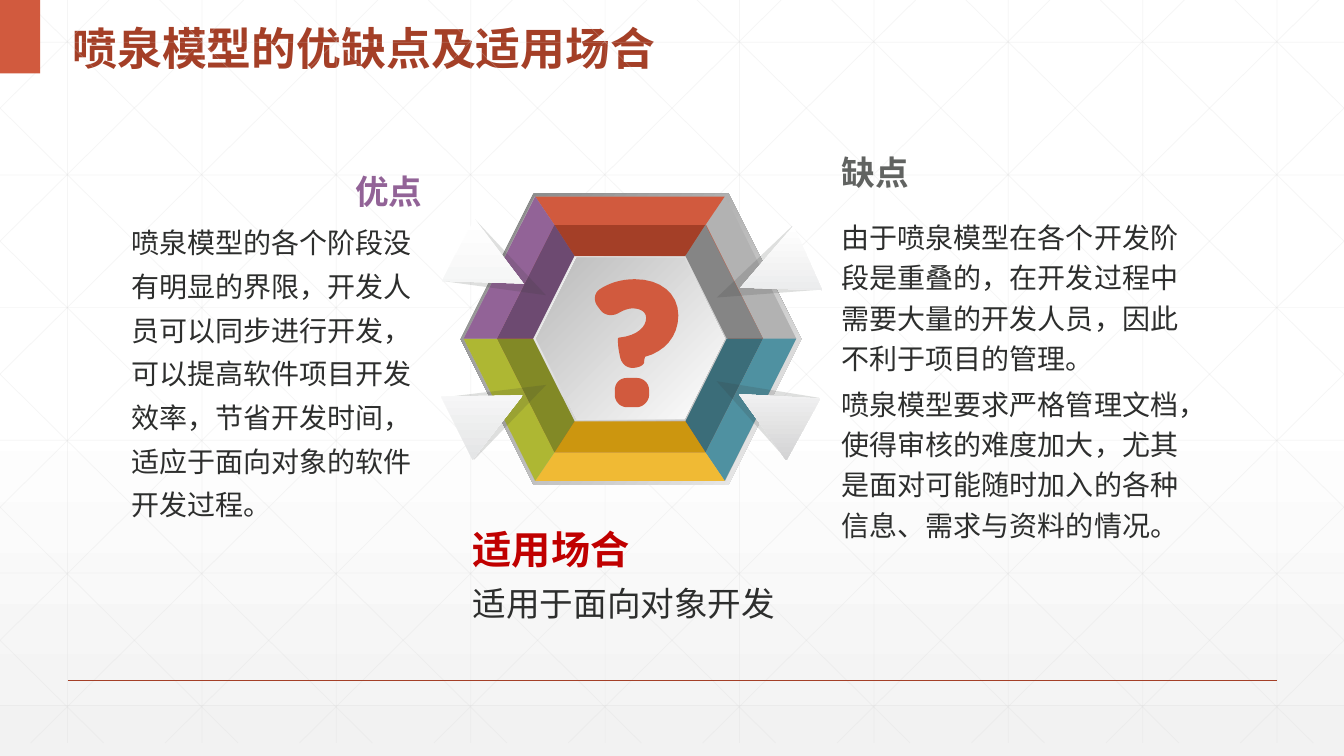
from lxml import etree
from pptx import Presentation
from pptx.dml.color import RGBColor
from pptx.enum.shapes import MSO_CONNECTOR, MSO_SHAPE as Kind
from pptx.enum.text import MSO_ANCHOR as Anchor, MSO_AUTO_SIZE as Fit, PP_ALIGN as Align
from pptx.oxml.ns import qn
from pptx.util import Inches, Pt

WIDE, HIGH, GRID = 40 / 3, 7.5, 7.37
FONT = "Noto Sans CJK SC"
COLORS = {
    "white": "FFFFFF", "paper": "F2F2F2", "grid": "D9D9D9", "red": "D15A3E",
    "brick": "A43F27", "crimson": "C00000", "ink": "2D2E2D", "gray": "616361",
    "silver": "B2B2B2", "steel": "858585", "plum": "926397", "grape": "6D4A71",
    "lime": "AEB733", "olive": "828926", "gold": "F0BA34", "amber": "CC960F",
    "teal": "4F91A1", "pine": "3B6D79", "shade": "373937", "rim": "808080",
    "edge": "BFBFBF", "core": "BABABA", "tip1": "D3D3D4", "tip2": "E2E3E4",
    "tip3": "E4E5E6", "tip4": "F0F1F1",
}
# Facets run clockwise from the top; the silver hexagon shows through the gap.
OUTER = ["red", None, "teal", "gold", "lime", "plum"]
INNER = ["brick", "steel", "pine", "amber", "olive", "grape"]
HEXES = [
    (4.57, 1.92, 3.38, 2.89, ("rim", "paper", 45)),
    (4.6, 1.95, 3.3, 2.82, "silver"),
    (4.93, 2.23, 2.64, 2.26, "red"),
    (5.29, 2.53, 1.93, 1.65, ("edge", "paper", 225)),
    (5.32, 2.56, 1.87, 1.6, ("white", "core", 225)),
]
# Turn, left and top of the shadow, left and top of the arrow, end colour.
ARROWS = [
    (298.8, 7.19, 3.53, 7.3, 3.72, "tip1"),
    (246.1, 7.21, 2.27, 7.33, 2.34, "tip2"),
    (63.5, 4.64, 3.55, 4.51, 3.72, "tip3"),
    (117.4, 4.64, 2.22, 4.52, 2.28, "tip4"),
]
# A pair is a line to that point; six numbers are a Bezier curve.
DOT = [
    (6.22, 3.75), (6.32, 3.75), (6.38, 3.75, 6.44, 3.8, 6.44, 3.87),
    (6.44, 3.92), (6.44, 3.98, 6.38, 4.04, 6.32, 4.04), (6.22, 4.04),
    (6.15, 4.04, 6.1, 3.98, 6.1, 3.92), (6.1, 3.87),
    (6.1, 3.8, 6.15, 3.75, 6.22, 3.75),
]
HOOK = [
    (6.3, 2.77), (6.55, 2.77, 6.73, 2.91, 6.73, 3.13),
    (6.73, 3.34, 6.59, 3.49, 6.4, 3.54), (6.4, 3.54, 6.39, 3.57, 6.39, 3.6),
    (6.38, 3.63, 6.33, 3.65, 6.27, 3.65), (6.21, 3.65, 6.16, 3.6, 6.15, 3.53),
    (6.14, 3.48), (6.13, 3.42, 6.13, 3.36, 6.13, 3.36), (6.14, 3.35),
    (6.34, 3.33, 6.41, 3.23, 6.41, 3.16), (6.41, 3.15),
    (6.41, 3.1, 6.36, 3.06, 6.28, 3.06), (6.23, 3.06, 6.18, 3.08, 6.13, 3.11),
    (6.07, 3.14, 6, 3.13, 5.96, 3.08), (5.93, 3.04),
    (5.89, 2.99, 5.89, 2.91, 5.95, 2.87), (6.04, 2.81, 6.16, 2.77, 6.3, 2.77),
]


def rgb(name):
    return RGBColor.from_string(COLORS[name])


def fade(el, pct):
    """Make the colours inside an element show at pct percent."""
    for node in el.iter(qn("a:srgbClr")):
        etree.SubElement(node, qn("a:alpha"), val=str(pct * 1000))


def blend(fill, first, last, turn, start=0):
    """Fill with a gradient whose angle is clockwise."""
    fill.gradient()
    fill.gradient_angle = 360 - turn
    for stop, name, pos in zip(fill.gradient_stops, (first, last), (start, 1)):
        stop.color.rgb = rgb(name)
        stop.position = pos


def paint(shape, color):
    """Fill with a colour name or a (first, last, angle) gradient."""
    shape.shadow.inherit = False
    shape.line.fill.background()
    if isinstance(color, tuple):
        blend(shape.fill, *color)
        shape._element.spPr.find(qn("a:gradFill")).set("rotWithShape", "0")
    else:
        shape.fill.solid()
        shape.fill.fore_color.rgb = rgb(color)
    return shape


def block(slide, kind, box, color, turn=0):
    shape = slide.shapes.add_shape(kind, *map(Inches, box))
    shape.rotation = turn
    return paint(shape, color)


def rule(slide, ends, color, width):
    line = slide.shapes.add_connector(MSO_CONNECTOR.STRAIGHT, *map(Inches, ends))
    line.line.color.rgb = rgb(color)
    line.line.width = Pt(width)
    etree.SubElement(line._element.spPr, qn("a:effectLst"))
    return line


def outline(slide, paths, color):
    """Draw one filled shape from closed paths of points."""
    paths = [[(Inches(x), Inches(y)) for x, y in path] for path in paths]
    pen = slide.shapes.build_freeform(*paths[0][0])
    for path in paths:
        if path is not paths[0]:
            pen.move_to(*path[0])
        pen.add_line_segments(path[1:], close=True)
    return paint(pen.convert_to_shape(), color)


def trace(steps, count=8):
    """Turn lines and Bezier curves into points."""
    pts = [steps[0]]
    for step in steps[1:]:
        if len(step) == 2:
            pts.append(step)
            continue
        knots = [pts[-1], step[:2], step[2:4], step[4:]]
        for i in range(1, count + 1):
            t = i / count
            mix = ((1 - t) ** 3, 3 * t * (1 - t) ** 2, 3 * t * t * (1 - t), t ** 3)
            pts.append(tuple(sum(m * k[a] for m, k in zip(mix, knots)) for a in (0, 1)))
    return pts


def write(shape, *paras, size=20, color="ink", bold=False, latin=FONT, align=Align.LEFT,
          anchor=Anchor.TOP, space=1.0, gap=0, wrap=True, inset=0):
    frame = shape.text_frame
    frame.auto_size = Fit.NONE
    frame.word_wrap = wrap
    frame.vertical_anchor = anchor
    frame.margin_left = frame.margin_right = Inches(inset)
    frame.margin_top = frame.margin_bottom = Inches(inset / 2)
    for i, text in enumerate(paras):
        para = frame.add_paragraph() if i else frame.paragraphs[0]
        para.alignment = align
        para.line_spacing = space
        para.space_before = Pt(gap if i else 0)
        run = para.add_run()
        run.text = text
        font = run.font
        font.size, font.bold, font.name = Pt(size), bold, latin
        font.color.rgb = rgb(color)
        etree.SubElement(run._r.get_or_add_rPr(), qn("a:ea"), typeface=FONT)


def label(slide, box, *paras, **style):
    write(slide.shapes.add_textbox(*map(Inches, box)), *paras, **style)


def head(slide, box, text, **style):
    label(slide, box, text, bold=True, latin="Arial", anchor=Anchor.MIDDLE, wrap=False, **style)


def mesh(slide):
    """Draw the faint grid with its diagonals."""
    pitch, slope = 4 / 3, 0.99
    ends = [(0.67 + pitch * i, 0, 0.67 + pitch * i, GRID) for i in range(10)]
    ends += [(0, 0.42 + 1.316 * i, WIDE, 0.42 + 1.316 * i) for i in range(6)]
    for i in range(-5, 10):
        left = 0.25 + pitch * i
        top, low = max(0, -left * slope), min(GRID, (WIDE - left) * slope)
        x, end = left + top / slope, left + low / slope
        ends += [(x, top, end, low), (WIDE - x, top, WIDE - end, low)]
    for pts in ends:
        fade(rule(slide, pts, "grid", 0.5)._element.spPr, 25)


def ring(flat, wide, tall, x=6.25, y=3.36):
    """Corners of a hexagon, clockwise from the top left."""
    return [(x - flat, y - tall), (x + flat, y - tall), (x + wide, y),
            (x + flat, y + tall), (x - flat, y + tall), (x - wide, y)]


def facets(slide, out, core, colors):
    for i, color in enumerate(colors):
        j = (i + 1) % 6
        if color:
            outline(slide, [[out[i], out[j], core[j], core[i]]], color)


def emblem(slide):
    for *box, color in HEXES:
        block(slide, Kind.HEXAGON, box, color)
    mid = ring(0.75, 1.32, 1.13)
    facets(slide, mid, ring(0.55, 0.96, 0.82), INNER)
    facets(slide, ring(0.94, 1.65, 1.41), mid, OUTER)
    for turn, x, y, left, top, tip in ARROWS:
        dark = block(slide, Kind.ISOSCELES_TRIANGLE, (x, y, 0.69, 0.97), "shade", turn)
        fade(dark._element.spPr, 16)
        block(slide, Kind.ISOSCELES_TRIANGLE, (left, top, 0.7, 0.73), ("white", tip, 90), turn)
    outline(slide, [trace(DOT), trace(HOOK)], "red")


def main():
    deck = Presentation()
    deck.slide_width, deck.slide_height = Inches(WIDE), Inches(HIGH)
    slide = deck.slides.add_slide(deck.slide_layouts[5])
    blend(slide.background.fill, "white", "paper", 90, 0.53)
    mesh(slide)
    rule(slide, (0.67, 6.75, 12.67, 6.75), "brick", 1)
    block(slide, Kind.RECTANGLE, (0, 0, 0.4, 0.73), "red")
    title = slide.shapes.title
    title.left, title.top, title.width, title.height = map(Inches, (0.62, 0.03, 8.07, 0.73))
    write(title, "喷泉模型的优缺点及适用场合", size=32, color="brick", bold=True,
          latin="Arial", anchor=Anchor.MIDDLE, space=1.3, inset=0.1)
    emblem(slide)
    head(slide, (8.35, 1.3, 3.34, 0.81), "缺点", size=24, color="gray")
    label(slide, (8.35, 2.12, 3.47, 3.48),
          "由于喷泉模型在各个开发阶段是重叠的，在开发过程中需要大量的开发人员，因此不利于项目的管理。",
          "喷泉模型要求严格管理文档，使得审核的难度加大，尤其是面对可能随时加入的各种信息、需求与资料的情况。",
          space=1.2, gap=4)
    head(slide, (1.3, 1.66, 2.89, 0.48), "优点", size=24, color="plum", align=Align.RIGHT)
    label(slide, (1.3, 2.14, 2.89, 3.26),
          "喷泉模型的各个阶段没有明显的界限，开发人员可以同步进行开发，可以提高软件项目开发效率，"
          "节省开发时间，适应于面向对象的软件开发过程。", space=1.3)
    head(slide, (4.69, 5.2, 3.28, 0.5), "适用场合", size=28, color="crimson")
    label(slide, (4.69, 5.7, 3.34, 0.74), "适用于面向对象开发", size=24, space=1.2)
    deck.save("out.pptx")


if __name__ == "__main__":
    main()
